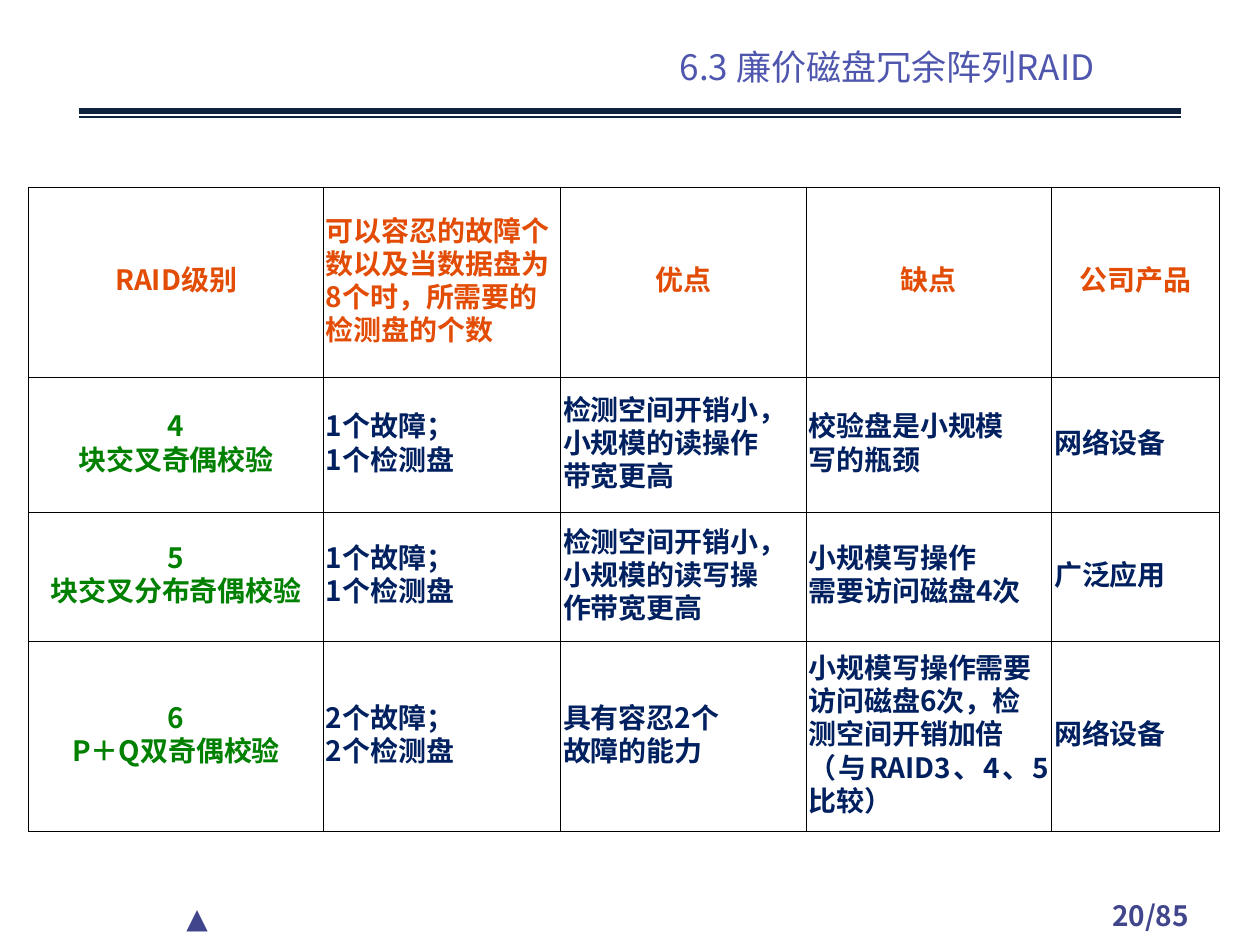
from lxml import etree
from pptx import Presentation
from pptx import util as u
from pptx.dml.color import RGBColor
from pptx.enum import shapes, text
from pptx.oxml.ns import qn

Cm, Pt = u.Cm, u.Pt
SANS, LATO = "Noto Sans CJK SC", "Lato"
PURPLE, INDIGO = RGBColor(0x4F, 0x56, 0xAD), RGBColor(0x40, 0x45, 0x8C)
ORANGE, GREEN = RGBColor(0xE2, 0x4C, 0x05), RGBColor(0x00, 0x80, 0x00)
NAVY, RULE = RGBColor(0x00, 0x20, 0x60), RGBColor(0x0F, 0x23, 0x3F)
BLACK = "000000"
LEFT, CENTER, JUSTIFY = (text.PP_ALIGN.LEFT, text.PP_ALIGN.CENTER,
                         text.PP_ALIGN.JUSTIFY)
TOP, BOTTOM = text.MSO_ANCHOR.TOP, text.MSO_ANCHOR.BOTTOM

# Content: each line of a cell is its own paragraph
ROWS = [
    ["RAID级别", "可以容忍的故障个\n数以及当数据盘为\n8个时，所需要的\n检测盘的个数",
     "优点", "缺点", "公司产品"],
    ["4\n块交叉奇偶校验", "1个故障；\n1个检测盘",
     "检测空间开销小，\n小规模的读操作\n带宽更高", "校验盘是小规模\n写的瓶颈", "网络设备"],
    ["5\n块交叉分布奇偶校验", "1个故障；\n1个检测盘",
     "检测空间开销小，\n小规模的读写操\n作带宽更高", "小规模写操作\n需要访问磁盘4次", "广泛应用"],
    ["6\nP＋Q双奇偶校验", "2个故障；\n2个检测盘", "具有容忍2个\n故障的能力",
     "小规模写操作需要\n访问磁盘6次，检\n测空间开销加倍\n（与RAID3、4、5比较）", "网络设备"],
]
COL_WIDTHS = [5.94, 4.78, 4.95, 4.95, 3.38]
ROW_HEIGHTS = [3.84, 2.72, 2.59, 3.84]

# Text, position in cm, vertical inset in cm, anchor, format
BOXES = [
    ("6.3 廉价磁盘冗余阵列RAID", (10.8, 0.69, 14.17, 1.07), 0, BOTTOM,
     dict(size=20, color=PURPLE, align=CENTER)),
    ("▲", (3.51, 18.03, 3.61, 0.94), 0.13, TOP,
     dict(size=16, color=INDIGO, font=LATO)),
    ("20/85", (21.39, 17.98, 3.61, 0.84), 0.13, TOP,
     dict(size=16, color=INDIGO, bold=True, align=CENTER)),
]
RULES = [(2.24, 3.25), (2.36, 1)]  # height on the slide in cm, width in pt


def write(tf, content, size=16, color=NAVY, font=SANS, bold=False,
          align=LEFT, spacing=None):
    for i, line in enumerate(content.split("\n")):
        p = tf.paragraphs[0] if i == 0 else tf.add_paragraph()
        p.alignment = align
        if spacing:
            p.line_spacing = Pt(spacing)
        r = p.add_run()
        r.text = line
        r.font.size, r.font.bold, r.font.name = Pt(size), bold, font
        r.font.color.rgb = color
        etree.SubElement(r.font._element, qn("a:ea"), typeface=font)


def add_borders(cell, width=0.45):
    tc_pr = cell._tc.get_or_add_tcPr()
    for i, side in enumerate(("a:lnL", "a:lnR", "a:lnT", "a:lnB")):
        ln = etree.Element(qn(side), w=str(int(Pt(width))))
        fill = etree.SubElement(ln, qn("a:solidFill"))
        etree.SubElement(fill, qn("a:srgbClr"), val=BLACK)
        tc_pr.insert(i, ln)


prs = Presentation()
prs.slide_width, prs.slide_height = Cm(25.4), Cm(19.05)
s = prs.slides.add_slide(prs.slide_layouts[6])

# Title and footer
for content, place, inset, anchor, style in BOXES:
    tf = s.shapes.add_textbox(*map(Cm, place)).text_frame
    tf.word_wrap = True
    tf.vertical_anchor = anchor
    tf.margin_top = tf.margin_bottom = Cm(inset)
    write(tf, content, **style)

# Double rule under the title
for y, width in RULES:
    line = s.shapes.add_connector(shapes.MSO_CONNECTOR.STRAIGHT,
                                  Cm(1.6), Cm(y), Cm(23.8), Cm(y))
    line.line.color.rgb, line.line.width = RULE, Pt(width)
    etree.SubElement(line._element.spPr, qn("a:effectLst"))

# RAID comparison table
table = s.shapes.add_table(len(ROWS), len(COL_WIDTHS), Cm(0.58), Cm(3.77),
                           Cm(sum(COL_WIDTHS)), Cm(sum(ROW_HEIGHTS))).table
table.first_row = table.horz_banding = False
for col, width in zip(table.columns, COL_WIDTHS):
    col.width = Cm(width)
for row, height in zip(table.rows, ROW_HEIGHTS):
    row.height = Cm(height)

for i, row in enumerate(ROWS):
    for j, content in enumerate(row):
        cell = table.cell(i, j)
        cell.fill.background()
        cell.vertical_anchor = text.MSO_ANCHOR.MIDDLE
        cell.margin_left = cell.margin_right = Cm(0.05)
        cell.margin_top = cell.margin_bottom = Cm(0.13)
        add_borders(cell)
        color = ORANGE if i == 0 else GREEN if j == 0 else NAVY
        centered = j == 0 or (i == 0 and j != 1)
        write(cell.text_frame, content, color=color, bold=True, spacing=19,
              align=CENTER if centered else JUSTIFY)

prs.save("out.pptx")
